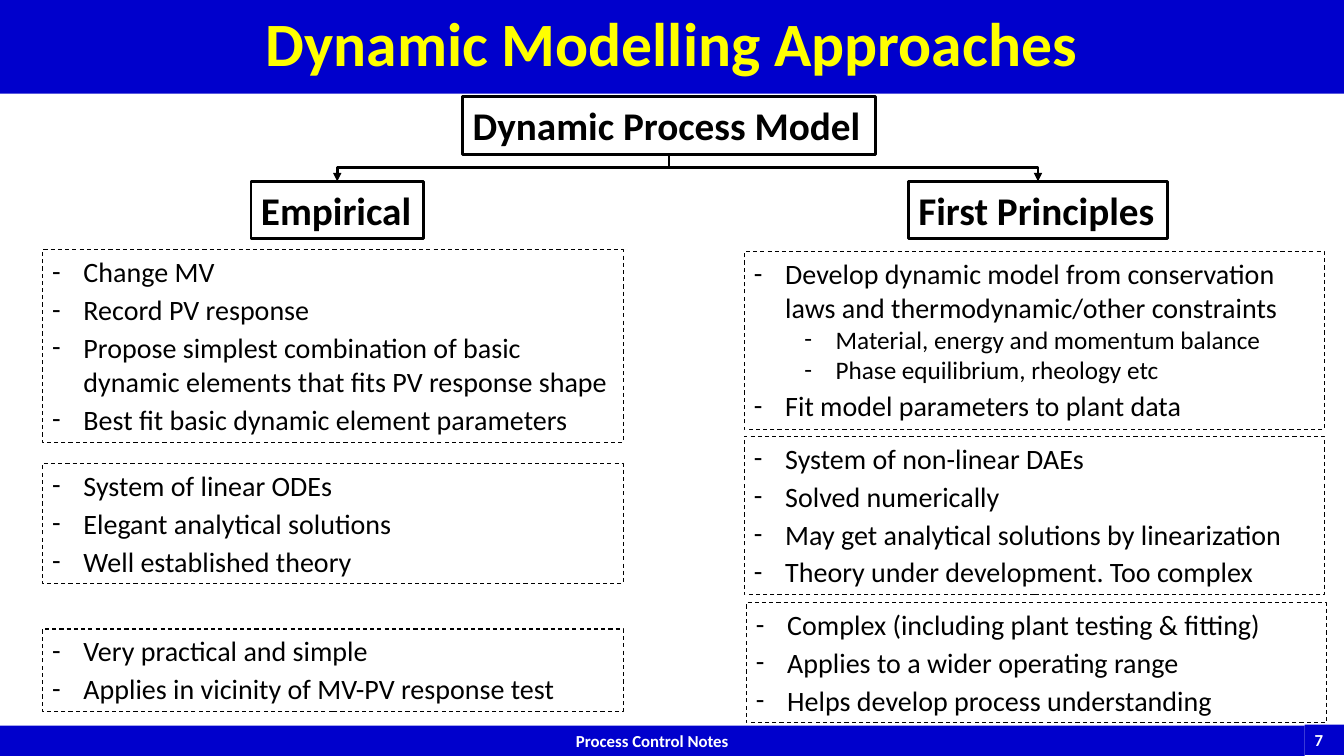
"""Build a slide comparing empirical and first-principles dynamic modelling."""
from lxml import etree
from pptx import Presentation
from pptx.dml.color import RGBColor
from pptx.enum import dml, shapes, text
from pptx.oxml import ns
from pptx.util import Emu, Inches, Pt

TITLE = "Dynamic Modelling Approaches"
FOOTER, PAGE = "Process Control Notes", "7"
ROOT = ("Dynamic Process Model", 4.59, 0.96, 4.09)
BRANCHES = [("Empirical", 2.49, 1.8, 1.71), ("First Principles", 9.01, 1.8, 2.57)]
PANELS = [
    (0.42, 2.48, 1.91, [
        "Change MV",
        "Record PV response",
        "Propose simplest combination of basic dynamic elements that fits PV response shape",
        "Best fit basic dynamic element parameters"]),
    (7.38, 2.5, 1.76, [
        ("Develop dynamic model from conservation laws and thermodynamic/other constraints", 0, 0, 0),
        ("Material, energy and momentum balance", 1, 0, 0),
        ("Phase equilibrium, rheology etc", 1, 0, 0),
        ("Fit model parameters to plant data", 0, 3, 6)]),
    (0.42, 4.6, 1.19, [
        "System of linear ODEs",
        "Elegant analytical solutions",
        "Well established theory"]),
    (7.38, 4.33, 1.57, [
        "System of non-linear DAEs",
        "Solved numerically",
        "May get analytical solutions by linearization",
        "Theory under development. Too complex"]),
    (0.42, 6.24, 0.82, [
        "Very practical and simple",
        "Applies in vicinity of MV-PV response test"]),
    (7.4, 5.98, 1.19, [
        "Complex (including plant testing & fitting)",
        "Applies to a wider operating range",
        "Helps develop process understanding"]),
]
THEME = {
    "font": "Calibri", "band": "0000CC", "title": "FFFF00", "footer": "FFFFFF", "ink": "000000",
    "title_size": 44, "heading_size": 28, "point_sizes": (20, 18), "footer_size": 12,
}
WIDTH, HEIGHT = 13.33, 7.5
PANEL_WIDTH, HEADING_HEIGHT = 5.76, 0.57
HANG, LEVEL_STEP = 0.31, 0.5

deck = Presentation()
deck.slide_width, deck.slide_height = Inches(WIDTH), Inches(HEIGHT)
slide = deck.slides.add_slide(deck.slide_layouts[6])


def rgb(name):
    return RGBColor.from_string(THEME[name])


def style(paragraph, size, colour, bold=False):
    font = paragraph.font
    font.name, font.size, font.bold = THEME["font"], Pt(size), bold
    font.color.rgb = rgb(colour)


def add_outline(line, width, dash=None):
    line.color.rgb = rgb("ink")
    line.width = Pt(width)
    if dash:
        line.dash_style = dash


def add_box(left, top, width, height, wrap=True):
    box = slide.shapes.add_textbox(*map(Inches, (left, top, width, height)))
    box.text_frame.word_wrap = wrap
    return box


def add_band(words, left, top, width, height, size, colour, align, wrap=True):
    band = add_box(left, top, width, height, wrap)
    band.fill.solid()
    band.fill.fore_color.rgb = rgb("band")
    label = band.text_frame.paragraphs[0]
    label.text, label.alignment = words, align
    style(label, THEME[size], colour, True)
    return band


def add_heading(words, left, top, width):
    heading = add_box(left, top, width, HEADING_HEIGHT, False)
    add_outline(heading.line, 2)
    label = heading.text_frame.paragraphs[0]
    label.text = words
    style(label, THEME["heading_size"], "ink", True)
    return heading


def add_point(paragraph, words, level=0, before=0, after=3):
    paragraph.text, paragraph.level = words, level
    props = paragraph._p.get_or_add_pPr()
    props.set("marL", str(Inches(HANG + level * LEVEL_STEP)))
    props.set("indent", str(-Inches(HANG)))
    etree.SubElement(props, ns.qn("a:buFont")).set("typeface", THEME["font"])
    etree.SubElement(props, ns.qn("a:buChar")).set("char", "-")
    paragraph.space_before, paragraph.space_after = Pt(before), Pt(after)
    style(paragraph, THEME["point_sizes"][level], "ink")


def add_panel(left, top, height, points):
    panel = add_box(left, top, PANEL_WIDTH, height)
    add_outline(panel.line, 0.75, dml.MSO_LINE.DASH)
    frame = panel.text_frame
    for index, point in enumerate(points):
        paragraph = frame.add_paragraph() if index else frame.paragraphs[0]
        add_point(paragraph, *([point] if isinstance(point, str) else point))


def add_branch_arrow(parent, child):
    start_x, end_x = (box.left + box.width // 2 for box in (parent, child))
    start_y, end_y = parent.top + parent.height, child.top
    mid_x, mid_y = (start_x + end_x) // 2, (start_y + end_y) // 2
    half_drop, half_span = (end_y - start_y) // 2, abs(end_x - start_x) // 2
    side = 1 if end_x < start_x else -1
    arrow = slide.shapes.add_connector(
        shapes.MSO_CONNECTOR.ELBOW,
        Emu(mid_x - side * half_drop), Emu(mid_y - half_span),
        Emu(mid_x + side * half_drop), Emu(mid_y + half_span))
    add_outline(arrow.line, 2)
    props = arrow._element.spPr
    props.find(ns.qn("a:xfrm")).set("rot", str((90 if side > 0 else 270) * 60000))
    etree.SubElement(props.find(ns.qn("a:ln")), ns.qn("a:tailEnd")).set("type", "triangle")
    etree.SubElement(props, ns.qn("a:effectLst"))


center, left_align = text.PP_ALIGN.CENTER, text.PP_ALIGN.LEFT
add_band(FOOTER, 0, 7.2, 12.94, 0.3, "footer_size", "footer", center)
add_band(PAGE, 12.94, 7.19, 0.4, 0.3, "footer_size", "footer", left_align, False)
title = add_band(TITLE, 0, 0, WIDTH, 0.93, "title_size", "title", center)
title.text_frame.vertical_anchor = text.MSO_ANCHOR.MIDDLE
title.text_frame.paragraphs[0].line_spacing = 0.9

root = add_heading(*ROOT)
for panel_content in PANELS:
    add_panel(*panel_content)
for branch in BRANCHES:
    add_branch_arrow(root, add_heading(*branch))

deck.save("out.pptx")
